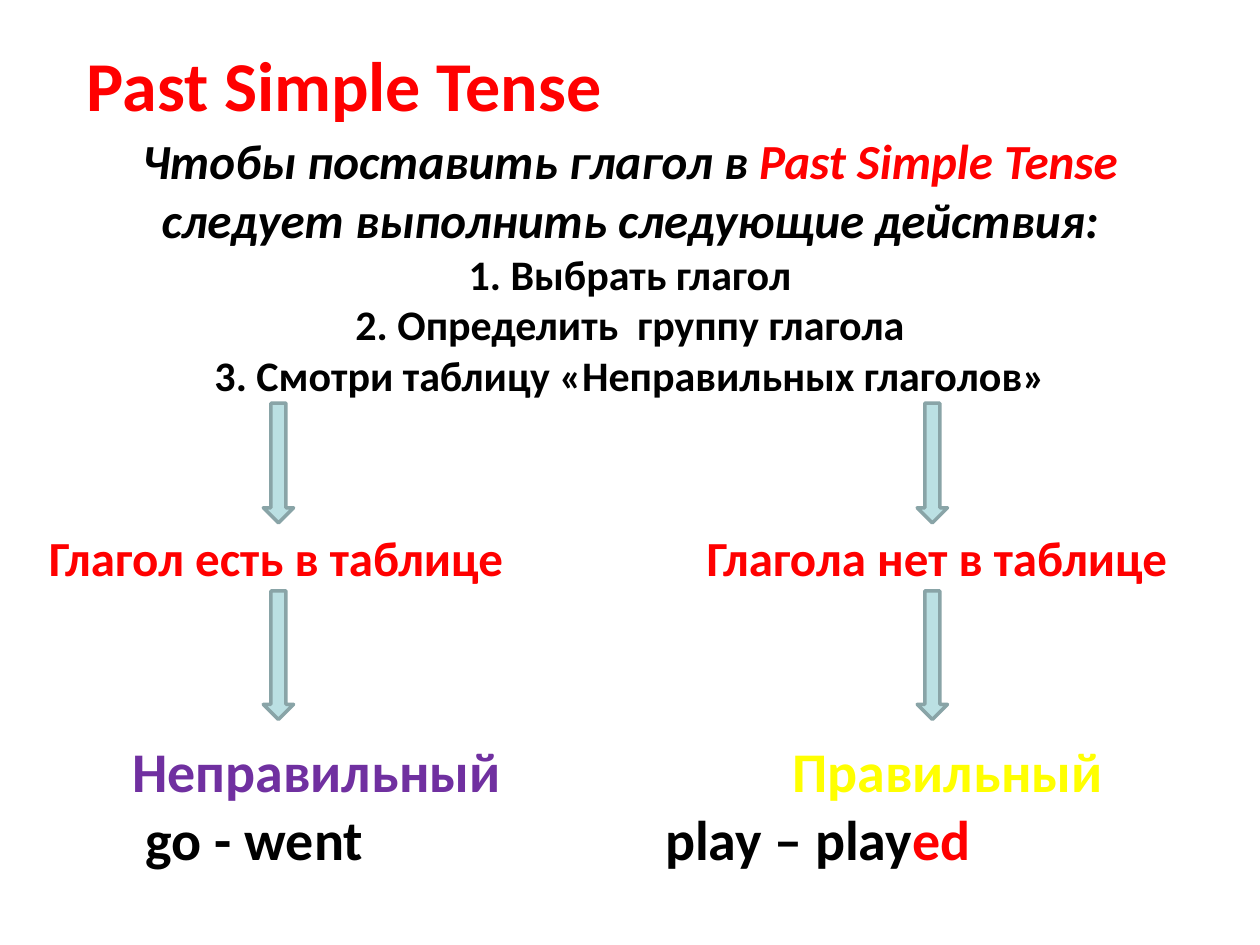
from pptx import Presentation
from pptx.dml.color import RGBColor
from pptx.enum.shapes import MSO_SHAPE
from pptx.enum.text import PP_ALIGN
from pptx.util import Inches, Pt

RED = RGBColor(0xFF, 0x00, 0x00)
BLACK = RGBColor(0x00, 0x00, 0x00)
PURPLE = RGBColor(0x70, 0x30, 0xA0)
YELLOW = RGBColor(0xFF, 0xFF, 0x00)
ARROW_FILL = RGBColor(0xBB, 0xE0, 0xE3)
ARROW_LINE = RGBColor(0x89, 0xA4, 0xA7)
DOWN_ARROW = MSO_SHAPE.DOWN_ARROW
LEFT = PP_ALIGN.LEFT
CENTER = PP_ALIGN.CENTER
FONT_NAME = "Calibri"


def add_text(page, bounds, lines, align=LEFT):
    """Add a wrapped text box; each line is (size, italic, [(text, colour), ...])."""
    box = page.shapes.add_textbox(*map(Inches, bounds))
    frame = box.text_frame
    frame.word_wrap = True
    for index, (size, italic, spans) in enumerate(lines):
        para = frame.add_paragraph() if index else frame.paragraphs[0]
        para.alignment = align
        for text, colour in spans:
            span = para.add_run()
            span.text = text
            span.font.name = FONT_NAME
            span.font.size = Pt(size)
            span.font.bold = True
            span.font.italic = italic
            span.font.color.rgb = colour
    return frame


def add_arrow(page, bounds):
    """Add one downward block arrow."""
    arrow = page.shapes.add_shape(DOWN_ARROW, *map(Inches, bounds))
    arrow.shadow.inherit = False
    arrow.fill.solid()
    arrow.fill.fore_color.rgb = ARROW_FILL
    arrow.line.color.rgb = ARROW_LINE
    arrow.line.width = Pt(2)


def add_instructions(page, bounds):
    """Add the rule and its numbered steps."""
    steps = ["1. Выбрать глагол", "2. Определить  группу глагола",
             "3. Смотри таблицу «Неправильных глаголов»"]
    rule = [("Чтобы поставить глагол в ", BLACK), ("Past Simple Tense ", RED),
            ("следует выполнить следующие действия:", BLACK)]
    lines = [(28, True, rule)] + [(24, False, [(step, BLACK)]) for step in steps]
    add_text(page, bounds, lines, CENTER)


def add_branch(page, bounds, label, arrow_left):
    """Add a branch label with an arrow above and an arrow below it."""
    add_text(page, bounds, [(28, False, [(label, RED)])], CENTER)
    for top, height in [(3.2, 0.95), (4.69, 1.02)]:
        add_arrow(page, (arrow_left, top, 0.24, height))


def add_result(page, bounds, group, example, indents):
    """Add a verb group above its example, each line with its own indent."""
    frame = add_text(page, bounds, [(32, False, group), (32, False, example)])
    for para, indent in zip(frame.paragraphs, indents):
        properties = para._p.get_or_add_pPr()
        properties.set("marL", str(Inches(indent)))
        properties.set("indent", "0")


def main():
    """Build the slide and save the deck."""
    deck = Presentation()
    deck.slide_width, deck.slide_height = Inches(10), Inches(7.5)
    page = deck.slides.add_slide(deck.slide_layouts[6])
    add_text(page, (0.59, 0.28, 5.04, 2.1), [(40, False, [("Past Simple Tense", RED)])])
    add_instructions(page, (0.43, 0.99, 9.14, 2.64))
    add_branch(page, (0.27, 4.14, 3.84, 1.04), "Глагол есть в таблице", 2.09)
    add_branch(page, (5.39, 4.14, 4.09, 0.57), "Глагола нет в таблице", 7.28)
    add_result(page, (0.35, 5.8, 4.5, 1.17), [("Неправильный", PURPLE)],
               [("go - went", BLACK)], (0.6, 0.71))
    add_result(page, (5.18, 5.8, 4.3, 1.17), [("Правильный", YELLOW)],
               [("play – play", BLACK), ("ed", RED)], (1.01, 0))
    deck.save("out.pptx")


if __name__ == "__main__":
    main()
